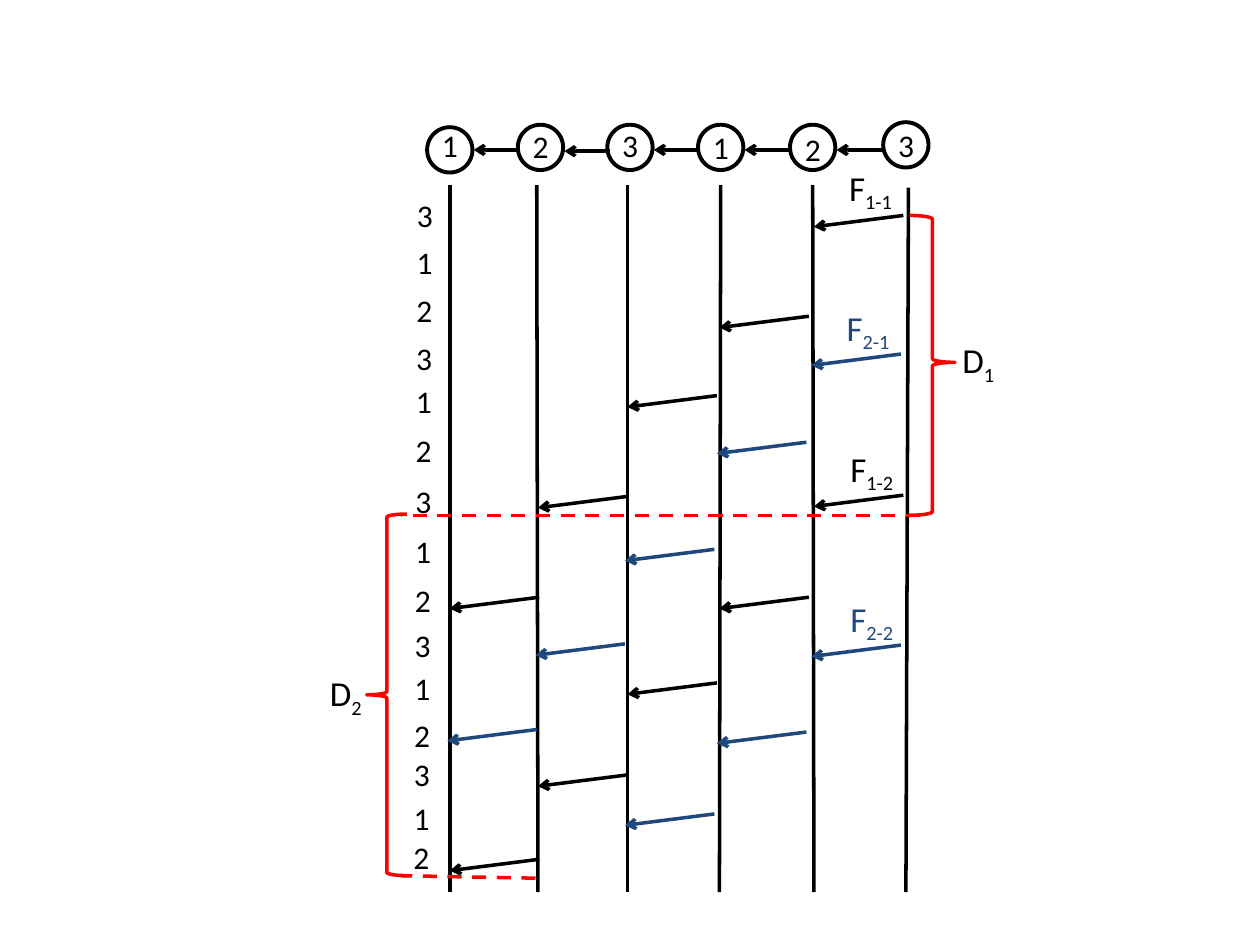
from lxml import etree
from pptx import Presentation, util as u
from pptx.dml.color import RGBColor
from pptx.enum import dml, shapes, text as t
from pptx.oxml.ns import qn

BLACK, BLUE, RED, WHITE = "000000", "1F497D", "FF0000", "FFFFFF"
rgb = RGBColor.from_string

prs = Presentation()
prs.slide_width, prs.slide_height = u.Inches(10), u.Inches(7.5)
s = prs.slides.add_slide(prs.slide_layouts[6])


def add_text(x, y, main, sub="", size=18, color=BLACK, w=0.33, h=0.4):
    tf = s.shapes.add_textbox(*map(u.Inches, (x, y, w, h))).text_frame
    tf.word_wrap = False
    tf.auto_size = t.MSO_AUTO_SIZE.SHAPE_TO_FIT_TEXT
    p = tf.paragraphs[0]
    for part in filter(None, (main, sub)):
        r = p.add_run()
        r.text = part
        r.font.size, r.font.name = u.Pt(size), "Calibri"
        r.font.color.rgb = rgb(color)
    if sub:
        r.font._element.set("baseline", "-25000")


def add_line(x1, y1, x2, y2, color=BLACK, arrow=False, dash=False):
    c = s.shapes.add_connector(shapes.MSO_CONNECTOR.STRAIGHT,
                               *map(u.Inches, (x1, y1, x2, y2)))
    c.line.color.rgb, c.line.width = rgb(color), u.Pt(2)
    if dash:
        c.line.dash_style = dml.MSO_LINE.DASH
    if arrow:
        etree.SubElement(c.line._get_or_add_ln(), qn("a:tailEnd"), type="arrow")
    etree.SubElement(c._element.spPr, qn("a:effectLst"))


# Node chain: centre x, centre y, top of the digit's box
D = 0.36
nodes = [(3.57, 1.19, 0.95), (4.29, 1.17, 0.96), (5.0, 1.17, 0.95),
         (5.72, 1.17, 0.97), (6.45, 1.17, 0.98), (7.19, 1.15, 0.95)]
for i, (x, y, top) in enumerate(nodes):
    sp = s.shapes.add_shape(shapes.MSO_SHAPE.OVAL,
                            *map(u.Inches, (x - D / 2, y - D / 2, D, D)))
    sp.shadow.inherit = False
    sp.fill.solid()
    sp.fill.fore_color.rgb = rgb(WHITE)
    sp.line.color.rgb, sp.line.width = rgb(BLACK), u.Pt(2.25)
    add_text(x - 0.16, top, str(i % 3 + 1))
for i, (x, _, _) in enumerate(nodes[:-1]):
    y = 1.2 if i == 1 else 1.19
    add_line(x + 0.55, y, x + 0.19, y, arrow=True)

# Lifelines: x at the top and at the bottom
lanes = [(3.57, 3.57), (4.26, 4.27), (4.98, 4.98),
         (5.72, 5.71), (6.45, 6.46), (7.21, 7.19)]
for x1, x2 in lanes:
    add_line(x1, 1.49 if x1 > 7 else 1.47, x2, 7.08)

# Time slots cycling 3, 1, 2
slots = [1.51, 1.88, 2.26, 2.64, 2.98, 3.37, 3.78, 4.17,
         4.56, 4.92, 5.26, 5.63, 5.94, 6.29, 6.6]
for i, y in enumerate(slots):
    add_text(3.21 - 0.002 * i, y, str((i + 2) % 3 + 1))

# Frames hopping left: receiving lane -> start heights
hops = {BLACK: {4: [1.71, 3.93], 3: [2.51, 4.74], 2: [3.14, 5.42],
                1: [3.94, 6.15], 0: [4.74, 6.82]},
        BLUE: {4: [2.81, 5.12], 3: [3.51, 5.81], 2: [4.36, 6.46],
               1: [5.11], 0: [5.79]}}
for color, by_lane in hops.items():
    for lane, starts in by_lane.items():
        x = lanes[lane][1] - (0.02 if color == BLUE else 0)
        for y in starts:
            add_line(x + 0.71, y, x, y + 0.09, color, arrow=True)

# Frame names
for x, y, sub, color in [(6.64, 1.27, "1-1", BLACK), (6.62, 2.38, "2-1", BLUE),
                         (6.65, 3.5, "1-2", BLACK), (6.65, 4.69, "2-2", BLUE)]:
    add_text(x, y, "F", sub, size=20, color=color, w=0.58, h=0.44)

# Delay braces with their limits
for kind, box, middle in [
        (shapes.MSO_SHAPE.RIGHT_BRACE, (7.22, 1.71, 0.36, 2.38), 0.49),
        (shapes.MSO_SHAPE.LEFT_BRACE, (2.91, 4.08, 0.32, 2.87), 0.5)]:
    sp = s.shapes.add_shape(kind, *map(u.Inches, box))
    sp.shadow.inherit = False
    sp.adjustments[0], sp.adjustments[1] = 0.08, middle
    sp.fill.background()
    sp.line.color.rgb, sp.line.width = rgb(RED), u.Pt(2)
add_line(7.3, 4.09, 3.18, 4.09, RED, dash=True)
add_line(4.25, 6.97, 3.18, 6.95, RED, dash=True)
add_text(7.54, 2.64, "D", "1", size=20, w=0.54, h=0.44)
add_text(2.52, 5.28, "D", "2", size=20, w=0.56, h=0.44)

prs.save("out.pptx")
